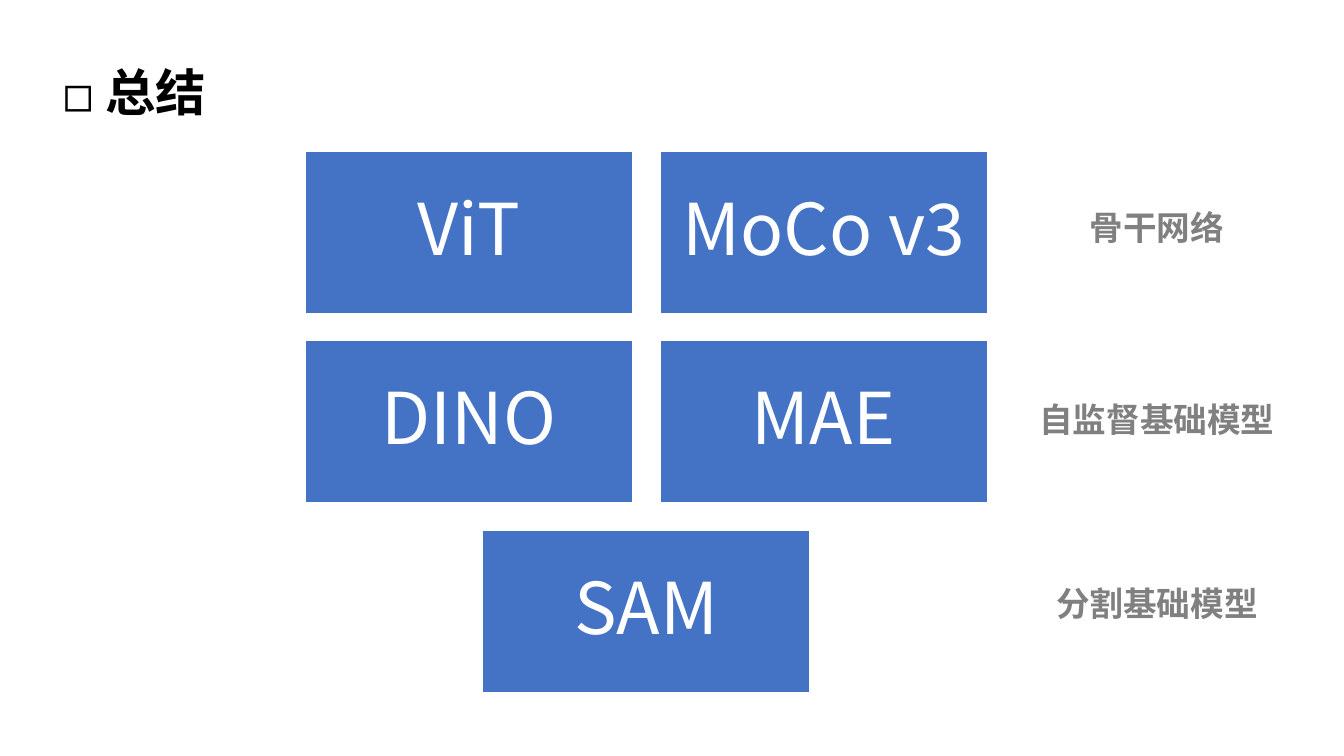
from dataclasses import dataclass

import lxml.etree
import pptx
import pptx.dml.color
import pptx.enum.shapes
import pptx.enum.text
import pptx.oxml.ns
import pptx.util

Inches = pptx.util.Inches
RGBColor = pptx.dml.color.RGBColor
CENTER = pptx.enum.text.PP_ALIGN.CENTER
MIDDLE = pptx.enum.text.MSO_ANCHOR.MIDDLE
qn = pptx.oxml.ns.qn

BLUE = RGBColor(0x44, 0x72, 0xC4)
GRAY = RGBColor(0x80, 0x80, 0x80)
BLACK = RGBColor(0, 0, 0)
WHITE = RGBColor(0xFF, 0xFF, 0xFF)
FACE = "Noto Sans CJK SC"

HEAD = {"size": pptx.util.Pt(36), "bold": True}
NAME = {"size": pptx.util.Pt(51), "bold": False}
NOTE = {"size": pptx.util.Pt(24), "bold": True}

# Tile grid, centred on one axis
WIDTH, HEIGHT = 3.25, 1.61
GAP = 0.27
MID = 6.41
TOP = 1.5


@dataclass
class Tier:
    names: list[str]
    label: str
    label_top: float


TIERS = [
    Tier(["ViT", "MoCo v3"], "骨干网络", 2.05),
    Tier(["DINO", "MAE"], "自监督基础模型", 3.95),
    Tier(["SAM"], "分割基础模型", 5.78),
]


def write(frame, text: str, form: dict, color: RGBColor):
    """Fill a text frame with one styled paragraph."""
    frame.word_wrap = True
    para = frame.paragraphs[0]
    para.line_spacing = 0.9
    para.space_before = pptx.util.Pt(0)
    run = para.add_run()
    run.text = text
    for key, value in form.items():
        setattr(run.font, key, value)
    run.font.color.rgb = color
    run.font.name = FACE
    east = lxml.etree.SubElement(run.font._element, qn("a:ea"))
    east.set("typeface", FACE)
    return para


def draw_head(slide) -> None:
    body = slide.placeholders[1]
    body.left, body.top = Inches(0.52), Inches(0.62)
    body.width, body.height = Inches(12.12), Inches(6.13)
    para = write(body.text_frame, " 总结", HEAD, BLACK)
    props = para._p.get_or_add_pPr()
    props.set("marL", str(Inches(0.25)))
    props.set("indent", str(Inches(-0.25)))
    lxml.etree.SubElement(props, qn("a:buFont")).set("typeface", FACE)
    lxml.etree.SubElement(props, qn("a:buChar")).set("char", "◻")


def draw_tile(slide, name: str, left: float, top: float) -> None:
    tile = slide.shapes.add_shape(
        pptx.enum.shapes.MSO_SHAPE.RECTANGLE,
        Inches(left), Inches(top), Inches(WIDTH), Inches(HEIGHT))
    tile.shadow.inherit = False
    tile.fill.solid()
    tile.fill.fore_color.rgb = BLUE
    tile.line.color.rgb = WHITE
    tile.line.width = pptx.util.Pt(1)
    frame = tile.text_frame
    frame.vertical_anchor = MIDDLE
    for side in ("left", "top", "right", "bottom"):
        setattr(frame, f"margin_{side}", Inches(0.21))
    para = write(frame, name, NAME, WHITE)
    para.alignment = CENTER
    after = lxml.etree.SubElement(para._p.get_or_add_pPr(), qn("a:spcAft"))
    lxml.etree.SubElement(after, qn("a:spcPct")).set("val", "35000")


def draw_label(slide, text: str, top: float) -> None:
    box = slide.shapes.add_textbox(
        Inches(10), Inches(top), Inches(2.95), Inches(0.44))
    write(box.text_frame, text, NOTE, GRAY).alignment = CENTER


def draw_tier(slide, tier: Tier, row: int) -> None:
    count = len(tier.names)
    start = MID - (count * WIDTH + (count - 1) * GAP) / 2
    for col, name in enumerate(tier.names):
        draw_tile(slide, name, start + col * (WIDTH + GAP),
                  TOP + row * (HEIGHT + GAP))
    draw_label(slide, tier.label, tier.label_top)


def main() -> None:
    deck = pptx.Presentation()
    deck.slide_width, deck.slide_height = Inches(13.33), Inches(7.5)
    slide = deck.slides.add_slide(deck.slide_layouts[1])

    # Heading sits in the body placeholder; the title is unused
    title = slide.shapes.title._element
    title.getparent().remove(title)
    draw_head(slide)

    # Model tiles with a label per row
    for row, tier in enumerate(TIERS):
        draw_tier(slide, tier, row)

    deck.save("out.pptx")


if __name__ == "__main__":
    main()
